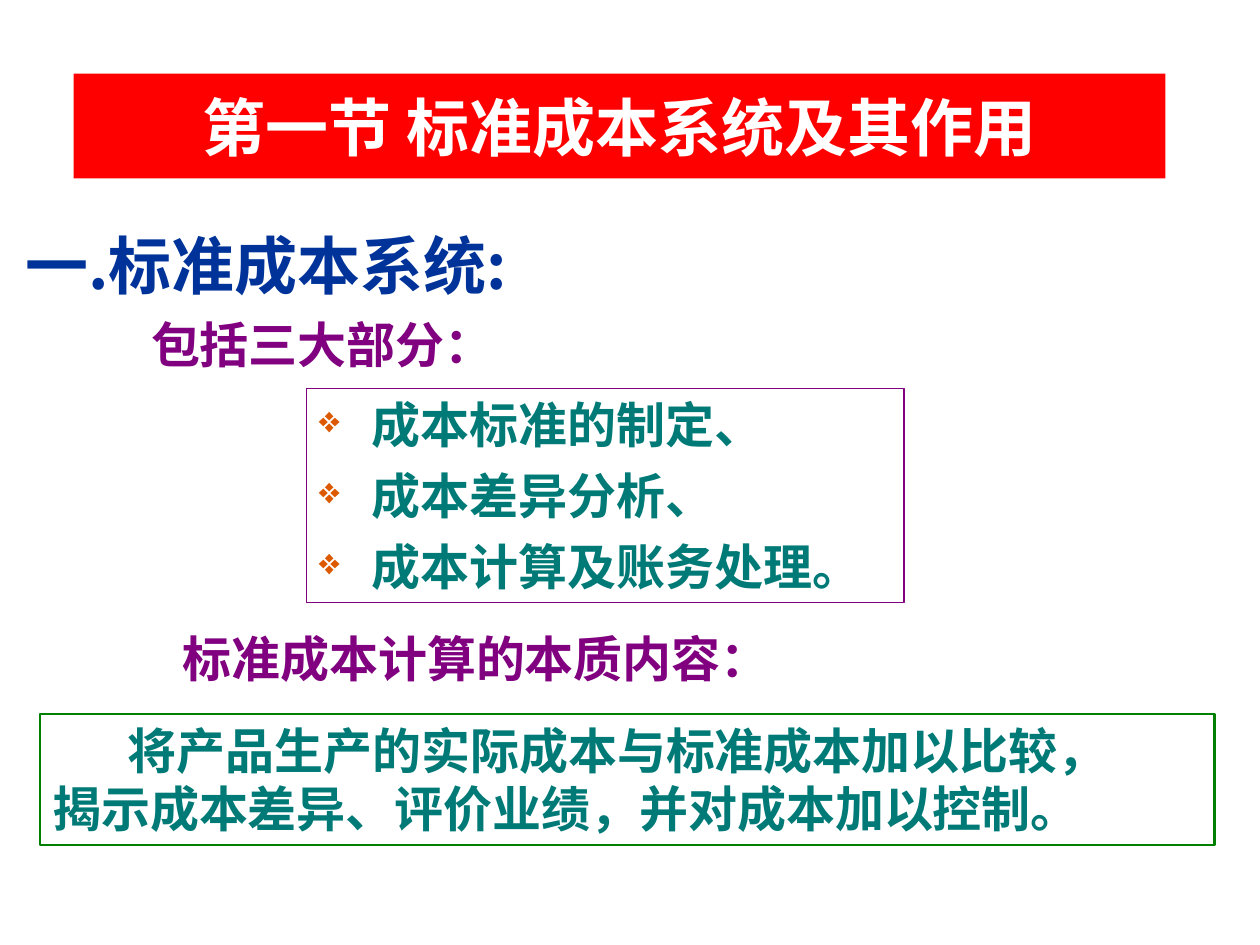
from lxml.etree import SubElement
from pptx import Presentation
from pptx.dml.color import RGBColor
from pptx.enum.shapes import MSO_SHAPE
from pptx.enum.text import MSO_ANCHOR, PP_ALIGN
from pptx.oxml.ns import qn
from pptx.util import Inches, Pt

COLORS = {
    "red": "FF0000", "white": "FFFFFF", "navy": "003399", "teal": "007A77",
    "purple": "800080", "green": "008000", "orange": "DC5900",
}
CJK_SC = "Noto Sans CJK SC"
CJK_JP = "Noto Sans CJK JP"

presentation = Presentation()
presentation.slide_width = Inches(10)
presentation.slide_height = Inches(7.5)
slide = presentation.slides.add_slide(presentation.slide_layouts[6])
UNIT = presentation.slide_width / 120  # square grid: 120 columns, 90 rows


def add_box(column, row, columns, rows, fill=None, line=None, line_width=0.75):
    """Add a rectangle placed in grid units and return it."""
    shape = slide.shapes.add_shape(
        MSO_SHAPE.RECTANGLE, *(round(n * UNIT) for n in (column, row, columns, rows)))
    shape.shadow.inherit = False
    for part, color in ((shape.fill, fill), (shape.line.fill, line)):
        if color:
            part.solid()
            part.fore_color.rgb = RGBColor.from_string(COLORS[color])
        else:
            part.background()
    if line:
        shape.line.width = Pt(line_width)
    shape.text_frame.word_wrap = True
    shape.text_frame.vertical_anchor = MSO_ANCHOR.TOP
    return shape


def format_paragraph(paragraph, size, color, font="Arial", margin=0, indent=0,
                     before=0, bullet=None):
    """Set spacing, indents (inches), an optional bullet and the run format."""
    paragraph.alignment = PP_ALIGN.LEFT
    paragraph.space_before = Pt(before)
    properties = paragraph._p.get_or_add_pPr()
    properties.set("marL", str(Inches(margin)))
    properties.set("indent", str(Inches(indent)))
    if bullet:
        bullet_color = SubElement(properties, qn("a:buClr"))
        SubElement(bullet_color, qn("a:srgbClr"), val=COLORS["orange"])
        SubElement(properties, qn("a:buSzPct"), val="75000")
        SubElement(properties, qn("a:buChar"), char=bullet)
    for run in paragraph.runs:
        run.font.size = Pt(size)
        run.font.bold = True
        run.font.name = font
        run.font.color.rgb = RGBColor.from_string(COLORS[color])
        if font != "Arial":
            SubElement(run._r.get_or_add_rPr(), qn("a:ea"), typeface=font)


# Title banner
title = add_box(7, 7, 104, 10, fill="red")
title.text_frame.text = "第一节 标准成本系统及其作用"
title.text_frame.vertical_anchor = MSO_ANCHOR.MIDDLE
format_paragraph(title.text_frame.paragraphs[0], 36, "white", CJK_SC)
title.text_frame.paragraphs[0].alignment = PP_ALIGN.CENTER

# Heading and its lead-in
heading = add_box(0, 21, 112, 19)
heading.text_frame.text = "一.标准成本系统:\n包括三大部分："
section, lead_in = heading.text_frame.paragraphs
format_paragraph(section, 36, "navy", CJK_JP, margin=0.1)
format_paragraph(lead_in, 28, "purple", margin=1.1, before=7)

# The three parts
parts = add_box(29.2, 37, 56.9, 20.4, line="purple")
parts.text_frame.text = "成本标准的制定、\n成本差异分析、\n成本计算及账务处理。"
for number, paragraph in enumerate(parts.text_frame.paragraphs):
    format_paragraph(paragraph, 28, "teal", margin=0.42, indent=-0.42,
                     before=7 if number else 0, bullet="❖")

# Essence of standard costing
essence_label = add_box(16.2, 59.3, 58.3, 6.8)
essence_label.text_frame.word_wrap = False
essence_label.text_frame.text = "标准成本计算的本质内容："
format_paragraph(essence_label.text_frame.paragraphs[0], 28, "purple")

essence = add_box(3.8, 68, 111.9, 12.5, line="green", line_width=1.5)
essence.text_frame.text = ("将产品生产的实际成本与标准成本加以比较，\n"
                           "揭示成本差异、评价业绩，并对成本加以控制。")
for paragraph, indent in zip(essence.text_frame.paragraphs, (0.6, 0)):
    format_paragraph(paragraph, 28, "teal", indent=indent)

presentation.save("out.pptx")
